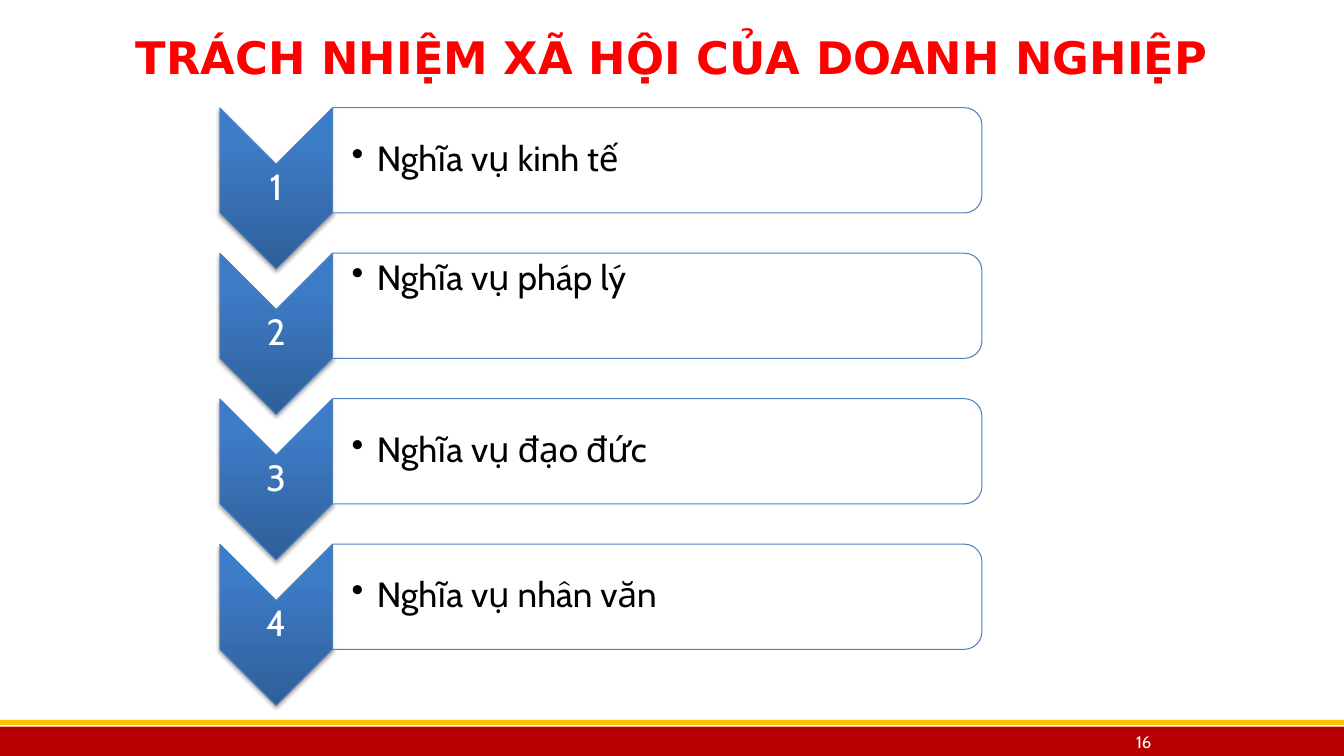
import pptx
import pptx.dml.color
import pptx.enum.shapes
import pptx.enum.text
import pptx.oxml
import pptx.oxml.ns
import pptx.util
from lxml import etree

Cm = pptx.util.Cm
Pt = pptx.util.Pt
RGB = pptx.dml.color.RGBColor.from_string
SHAPES = pptx.enum.shapes.MSO_SHAPE
ALIGN = pptx.enum.text.PP_ALIGN
ANCHOR = pptx.enum.text.MSO_ANCHOR
qn = pptx.oxml.ns.qn

COLORS = {
    "red": "FF0000", "band": "B80000", "gold": "FFC000",
    "white": "FFFFFF", "black": "000000", "outline": "4F81BD",
    "deep": "2F5F99", "mid": "3D7CC7", "light": "3A7CCB",
}
DUTIES = ["Nghĩa vụ kinh tế", "Nghĩa vụ pháp lý", "Nghĩa vụ đạo đức", "Nghĩa vụ nhân văn"]
ROW_PITCH = 3.666

GRADIENT = f"""<a:gradFill {pptx.oxml.ns.nsdecls("a")} rotWithShape="0"><a:gsLst>
<a:gs pos="0"><a:srgbClr val="{COLORS['deep']}"/></a:gs>
<a:gs pos="80000"><a:srgbClr val="{COLORS['mid']}"/></a:gs>
<a:gs pos="100000"><a:srgbClr val="{COLORS['light']}"/></a:gs>
</a:gsLst><a:lin ang="16200000" scaled="0"/></a:gradFill>"""
SHADOW = f"""<a:outerShdw {pptx.oxml.ns.nsdecls("a")} blurRad="{Pt(3.1)}" dist="{Pt(1.8)}"
dir="5400000" rotWithShape="0"><a:srgbClr val="{COLORS['black']}">
<a:alpha val="35000"/></a:srgbClr></a:outerShdw>"""

deck = pptx.Presentation()
deck.slide_width, deck.slide_height = Cm(33.87), Cm(19.05)
page = deck.slides.add_slide(deck.slide_layouts[6])


def add_block(kind, left, top, width, height, fill, outline=None):
    block = page.shapes.add_shape(kind, Cm(left), Cm(top), Cm(width), Cm(height))
    block.shadow.inherit = False
    block.fill.solid()
    block.fill.fore_color.rgb = RGB(COLORS[fill])
    if outline:
        block.line.color.rgb = RGB(COLORS[outline])
        block.line.width = Pt(0.75)
    else:
        block.line.fill.background()
    return block


def add_label(text, left, top, width, height, size, color, font="Cabin",
              align=ALIGN.CENTER, bullet=False, inset=0.05):
    """Add a one-paragraph text box, centred vertically."""
    box = page.shapes.add_textbox(Cm(left), Cm(top), Cm(width), Cm(height))
    frame = box.text_frame
    frame.word_wrap = True
    frame.vertical_anchor = ANCHOR.MIDDLE
    frame.margin_left = frame.margin_right = Cm(inset)
    frame.margin_top = frame.margin_bottom = Cm(0.05)
    para = frame.paragraphs[0]
    para.text = text
    para.alignment = align
    if bullet:
        properties = para._p.get_or_add_pPr()
        properties.set("marL", str(Cm(0.64)))
        properties.set("indent", str(-Cm(0.64)))
        etree.SubElement(properties, qn("a:buChar")).set("char", "•")
    para.font.size = Pt(size)
    para.font.name = font
    para.font.color.rgb = RGB(COLORS[color])
    return box


add_block(SHAPES.RECTANGLE, 0, 18.31, 33.87, 0.74, "band")
add_block(SHAPES.RECTANGLE, 0, 18.14, 33.87, 0.13, "gold")
title = add_label("TRÁCH NHIỆM XÃ HỘI CỦA DOANH NGHIỆP", 1.7, 0.64, 30.48, 1.57,
                  32, "red", font="DejaVu Sans")
title.text_frame.paragraphs[0].font.bold = True
add_label("16", 26.92, 18.31, 3.81, 0.79, 12, "white")

for row, duty in enumerate(DUTIES):
    shift = row * ROW_PITCH

    chevron = add_block(SHAPES.CHEVRON, 4.93, 3.33 + shift, 4.06, 2.84, "mid", "outline")
    chevron.rotation = 90
    properties = chevron._element.spPr
    solid = properties.find(qn("a:solidFill"))
    properties.replace(solid, pptx.oxml.parse_xml(GRADIENT))
    properties.find(qn("a:effectLst")).append(pptx.oxml.parse_xml(SHADOW))
    number = add_label(str(row + 1), 5.54, 4.14 + shift, 2.84, 1.22, 26, "white")
    number.text_frame.paragraphs[0].line_spacing = 0.9

    panel = add_block(SHAPES.ROUND_2_SAME_RECTANGLE, 15.24, -4.14 + shift, 2.65, 16.36,
                      "white", "outline")
    panel.rotation = 90
    tint = panel._element.spPr.find(qn("a:solidFill"))[0]
    etree.SubElement(tint, qn("a:alpha")).set("val", "90000")
    label = add_label(duty, 8.38, 2.84 + shift, 16.23, 2.39, 25, "black",
                      align=ALIGN.LEFT, bullet=True)
    label.text_frame.margin_left = Cm(0.48)
    label.text_frame.paragraphs[0].line_spacing = 0.9
    if duty == "Nghĩa vụ pháp lý":
        label.text_frame.vertical_anchor = ANCHOR.TOP

deck.save("out.pptx")
